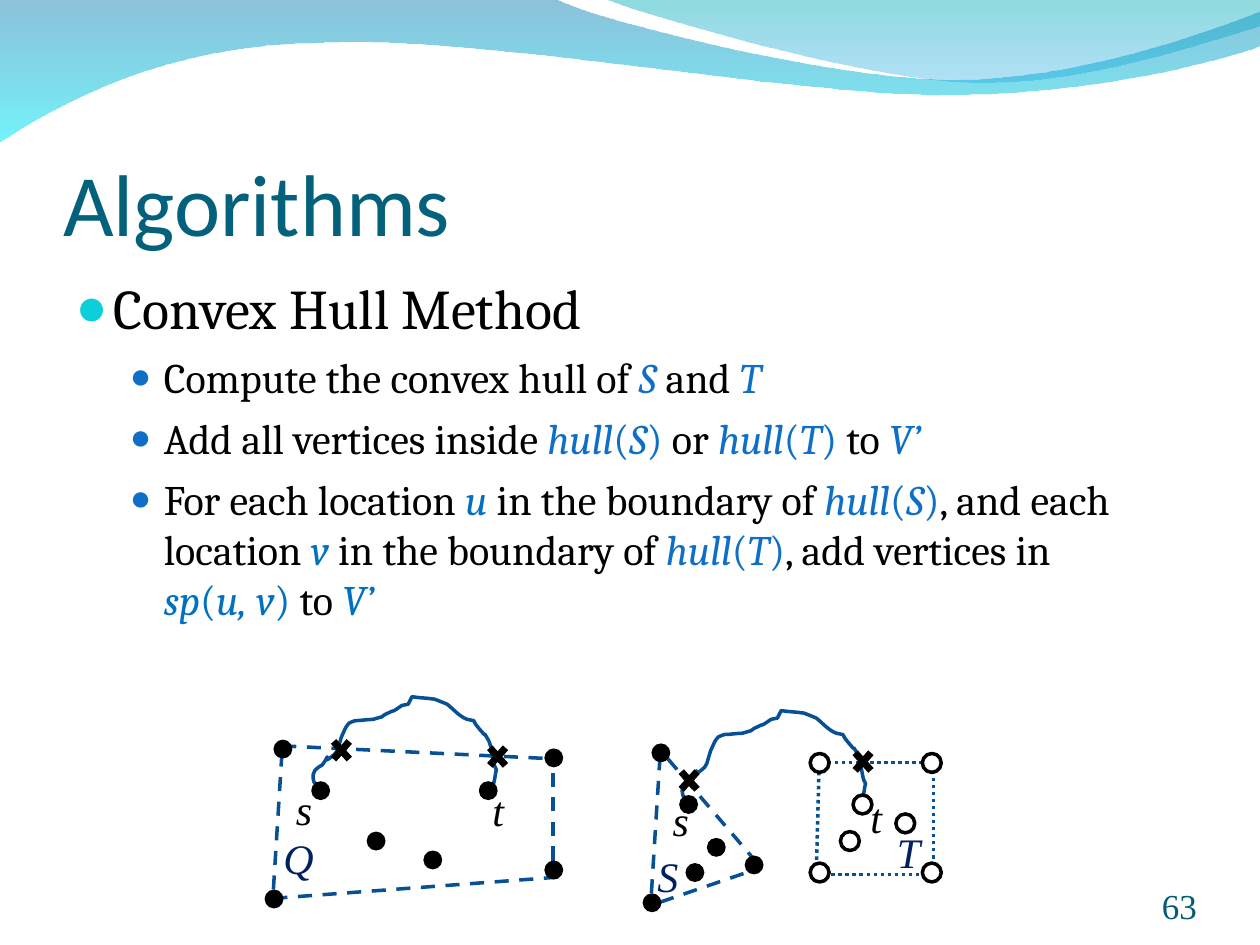
from itertools import groupby

from lxml import etree
from pptx import Presentation
from pptx.dml.color import RGBColor
from pptx.enum.dml import MSO_LINE
from pptx.enum.shapes import MSO_CONNECTOR, MSO_SHAPE
from pptx.enum.text import MSO_ANCHOR, MSO_AUTO_SIZE, PP_ALIGN
from pptx.oxml.ns import qn
from pptx.util import Inches, Pt

STRAIGHT = MSO_CONNECTOR.STRAIGHT
OVAL, CROSS = MSO_SHAPE.OVAL, MSO_SHAPE.MATH_MULTIPLY
DASH, DOTTED = MSO_LINE.DASH, MSO_LINE.ROUND_DOT
LEFT = PP_ALIGN.LEFT
RIGHT = PP_ALIGN.RIGHT
TOP, BOTTOM = MSO_ANCHOR.TOP, MSO_ANCHOR.BOTTOM
FIXED = MSO_AUTO_SIZE.NONE

BLACK = RGBColor(0x00, 0x00, 0x00)
WHITE = RGBColor(0xFF, 0xFF, 0xFF)
TITLE_TEAL = RGBColor(0x04, 0x61, 0x7B)
NUMBER_TEAL = RGBColor(0x04, 0x5C, 0x75)
CYAN = RGBColor(0x0B, 0xD0, 0xD9)
BLUE = RGBColor(0x0F, 0x6F, 0xC6)
MID_BLUE = RGBColor(0x00, 0x70, 0xC0)
EDGE_BLUE = RGBColor(0x06, 0x50, 0x93)
NAVY = RGBColor(0x00, 0x20, 0x60)
WAVE_TOP, WAVE_BOTTOM = RGBColor(0x00, 0x79, 0xAF), RGBColor(0x00, 0xEB, 0xF8)
CREST_TOP, CREST_BOTTOM = RGBColor(0x00, 0xAD, 0xB6), RGBColor(0x00, 0x9B, 0xE5)

# Outlines: a pair is a straight segment, six numbers are a Bezier segment
WAVE = [(0, -0.01), (4.4, -0.01), (4.76, 0.17, 6.64, 0.63, 7.58, 0.63),
        (8.53, 0.63, 9.58, 0.26, 10, 0.09), (10.01, 0.36),
        (9.83, 0.44, 8.7, 0.76, 7.46, 0.75), (6.22, 0.75, 3.82, 0.28, 2.57, 0.34),
        (1.29, 0.35, 0.46, 0.83, -0.01, 1.13)]
CREST = [(4.79, -0.01), (5.09, 0.11, 6.82, 0.62, 7.69, 0.65),
         (8.56, 0.69, 9.61, 0.32, 10, 0.21), (10, 0)]
SHORTEST_PATH = [
    (2.54, 6.23), (2.52, 6.22, 2.49, 6.22, 2.49, 6.2), (2.47, 6.12, 2.51, 6.1, 2.56, 6.07),
    (2.66, 5.92, 2.52, 6.1, 2.64, 6), (2.66, 5.99, 2.67, 5.97, 2.68, 5.95), (2.71, 5.85),
    (2.73, 5.81, 2.74, 5.77, 2.77, 5.74), (2.78, 5.73, 2.8, 5.73, 2.82, 5.72),
    (2.87, 5.72, 2.91, 5.71, 2.96, 5.71), (2.98, 5.7, 3.01, 5.7, 3.03, 5.69),
    (3.05, 5.68, 3.06, 5.66, 3.08, 5.66), (3.1, 5.65, 3.12, 5.64, 3.13, 5.64),
    (3.15, 5.63, 3.17, 5.61, 3.19, 5.6), (3.2, 5.59, 3.22, 5.6, 3.24, 5.59),
    (3.25, 5.57, 3.26, 5.55, 3.27, 5.53), (3.33, 5.54, 3.39, 5.54, 3.45, 5.55),
    (3.48, 5.56, 3.55, 5.59, 3.55, 5.59), (3.6, 5.63, 3.65, 5.69, 3.71, 5.71), (3.76, 5.72),
    (3.77, 5.74, 3.78, 5.76, 3.8, 5.78), (3.91, 5.91, 3.8, 5.75, 3.88, 5.88),
    (3.92, 6, 3.88, 5.86, 3.92, 6.06), (3.92, 6.07, 3.93, 6.09, 3.94, 6.11),
    (3.93, 6.14, 3.93, 6.18, 3.92, 6.21), (3.91, 6.25, 3.9, 6.27, 3.88, 6.3)]

# Each point is a list of (text, colour); coloured parts are mathematics
POINTS = [
    [("Compute the convex hull of ", BLACK), ("S", BLUE), (" and ", BLACK), ("T", BLUE)],
    [("Add all vertices inside ", BLACK), ("hull(S)", BLUE), (" or ", BLACK),
     ("hull(T)", BLUE), (" to ", BLACK), ("V’", BLUE)],
    [("For each location ", BLACK), ("u", MID_BLUE), (" in the boundary of ", BLACK),
     ("hull(S)", BLUE), (", and each location ", BLACK), ("v", MID_BLUE),
     (" in the boundary of ", BLACK), ("hull(T)", BLUE), (", add vertices in ", BLACK),
     ("sp(u, v)", MID_BLUE), (" to ", BLACK), ("V’", MID_BLUE)]]


def write(paragraph, text, *, size, font, color, italic=False):
    run = paragraph.add_run()
    run.text = text
    run.font.size, run.font.name, run.font.italic = Pt(size), font, italic
    run.font.color.rgb = color


class HullSlide:
    heading_font, body_font, label_font = "Calibri", "Cambria", "Times New Roman"
    line_width, dot_size = Pt(2), 0.15

    def __init__(self, slide):
        self.slide, self.shapes = slide, slide.shapes

    def frame(self, shape, box, insets, anchor):
        shape.left, shape.top, shape.width, shape.height = map(Inches, box)
        frame = shape.text_frame
        frame.auto_size, frame.vertical_anchor, frame.word_wrap = FIXED, anchor, True
        (frame.margin_left, frame.margin_top,
         frame.margin_right, frame.margin_bottom) = map(Inches, insets)
        return frame

    def outline(self, segments, close, dx=0, dy=0):
        points = [(Inches(x + dx), Inches(y + dy))
                  for segment in segments for x, y in zip(segment[::2], segment[1::2])]
        builder = self.shapes.build_freeform(*points[0])
        builder.add_line_segments(points[1:], close=close)
        shape = builder.convert_to_shape()
        shape.shadow.inherit = False
        # Join the three points of each Bezier segment into one curve
        steps = iter(list(shape._element.iter(qn("a:lnTo"))))
        for segment in segments[1:]:
            first = next(steps)
            if len(segment) == 6:
                first.tag = qn("a:cubicBezTo")
                for step in (next(steps), next(steps)):
                    first.append(step[0])
                    step.getparent().remove(step)
        return shape

    def wave(self, outline, colors, opacities):
        shape = self.outline(outline, True)
        shape.line.fill.background()
        shape.fill.gradient()
        shape.fill.gradient_angle = 270
        for stop, color in zip(shape.fill.gradient_stops, colors):
            stop.color.rgb = color
        for tint, opacity in zip(shape._element.iter(qn("a:srgbClr")), opacities):
            etree.SubElement(tint, qn("a:alpha"), val=str(opacity * 1000))

    def curve(self, outline, dx, dy):
        shape = self.outline(outline, False, dx, dy)
        shape.fill.background()
        shape.line.color.rgb, shape.line.width = EDGE_BLUE, self.line_width

    def edge(self, x1, y1, x2, y2, dash):
        edge = self.shapes.add_connector(STRAIGHT, *map(Inches, (x1, y1, x2, y2)))
        edge.line.color.rgb, edge.line.width = EDGE_BLUE, self.line_width
        edge.line.dash_style = dash
        etree.SubElement(edge._element.spPr, qn("a:effectLst"))

    def mark(self, kind, x, y, width, height, fill=BLACK, ring=False):
        mark = self.shapes.add_shape(kind, *map(Inches, (x, y, width, height)))
        mark.shadow.inherit = False
        mark.fill.solid()
        mark.fill.fore_color.rgb = fill
        if ring:
            mark.line.color.rgb, mark.line.width = BLACK, self.line_width
        else:
            mark.line.fill.background()

    def dot(self, x, y, hollow=False):
        self.mark(OVAL, x, y, self.dot_size, self.dot_size, WHITE if hollow else BLACK, hollow)

    def label(self, text, x, y, width, color):
        box = self.shapes.add_textbox(0, 0, 0, 0)
        frame = self.frame(box, (x, y, width, 0.5), (0.1, 0.05, 0.1, 0.05), TOP)
        frame.word_wrap = False
        write(frame.paragraphs[0], text, size=24, font=self.label_font, color=color, italic=True)

    def title(self, text):
        frame = self.frame(self.shapes.title, (0.5, 0.77, 9, 1.25), (0, 0.05, 0, 0), BOTTOM)
        frame.paragraphs[0].alignment = LEFT
        write(frame.paragraphs[0], text, size=50, font=self.heading_font, color=TITLE_TEAL)

    def bullet(self, paragraph, level, margin, hang, color, percent, before):
        properties = paragraph._p.get_or_add_pPr()
        properties.set("marL", str(Inches(margin)))
        properties.set("indent", str(-Inches(hang)))
        tint = etree.SubElement(properties, qn("a:buClr"))
        etree.SubElement(tint, qn("a:srgbClr"), val=str(color))
        etree.SubElement(properties, qn("a:buSzPct"), val=str(percent * 1000))
        etree.SubElement(properties, qn("a:buChar"), char="●")
        paragraph.level, paragraph.space_before = level, Pt(before)

    def body(self, heading, points):
        frame = self.frame(self.slide.placeholders[1], (0.5, 2.12, 8.63, 3.75),
                           (0.1, 0.05, 0.1, 0.05), TOP)
        self.bullet(frame.paragraphs[0], 0, 0.3, 0.3, CYAN, 95, 0)
        write(frame.paragraphs[0], heading, size=32, font=self.body_font, color=BLACK)
        for point in points:
            paragraph = frame.add_paragraph()
            self.bullet(paragraph, 1, 0.7, 0.27, BLUE, 85, 6)
            for text, color in point:
                # Only the letters of mathematics are italic, not the brackets
                for bracket, part in groupby(text, lambda letter: letter in "()"):
                    write(paragraph, "".join(part), size=24, font=self.body_font,
                          color=color, italic=color != BLACK and not bracket)

    def number(self, text):
        box = self.shapes.add_textbox(0, 0, 0, 0)
        frame = self.frame(box, (8.67, 6.95, 0.83, 0.4), (0, 0, 0, 0), BOTTOM)
        frame.paragraphs[0].alignment = RIGHT
        write(frame.paragraphs[0], text, size=20, font=self.label_font, color=NUMBER_TEAL)


def main():
    deck = Presentation()
    deck.slide_width, deck.slide_height = Inches(10), Inches(7.5)
    page = HullSlide(deck.slides.add_slide(deck.slide_layouts[1]))

    # Header waves and text
    page.wave(WAVE, (WAVE_TOP, WAVE_BOTTOM), (45, 55))
    page.wave(CREST, (CREST_TOP, CREST_BOTTOM), (45, 30))
    page.title("Algorithms")
    page.body("Convex Hull Method", POINTS)
    page.number("63")

    # Shortest paths from s to t
    for dx, dy in ((0, 0), (2.93, 0.11)):
        page.curve(SHORTEST_PATH, dx, dy)

    # Hull edges: Q and S dashed, T dotted
    for ends in ((2.24, 5.92, 4.34, 6.02), (4.39, 6.83, 4.39, 6.09), (2.17, 7.13, 4.45, 6.96),
                 (2.17, 7.06, 2.24, 5.94), (5.17, 7.09, 5.24, 5.98), (6.01, 6.85, 5.29, 6.01),
                 (5.24, 7.16, 5.94, 6.92)):
        page.edge(*ends, DASH)
    for ends in ((6.48, 6.88, 6.5, 6.11), (6.43, 6.94, 7.4, 6.94), (7.41, 6.87, 7.41, 6.12),
                 (6.57, 6.05, 7.31, 6.05)):
        page.edge(*ends, DOTTED)

    # Locations: Q and S filled, T hollow
    for x, y in ((2.91, 6.6), (3.36, 6.75), (4.32, 6.83), (4.32, 5.94), (2.1, 7.06),
                 (2.17, 5.87), (2.47, 6.2), (3.8, 6.2), (5.1, 7.09), (5.61, 6.65),
                 (5.44, 6.85), (5.91, 6.79), (5.17, 5.9), (5.39, 6.31)):
        page.dot(x, y)
    for x, y in ((6.43, 6.85), (7.32, 6.85), (7.32, 5.98), (6.43, 5.98), (6.67, 6.6),
                 (7.11, 6.46), (6.77, 6.31)):
        page.dot(x, y, hollow=True)

    # Names, and crosses where the paths leave the hulls
    for name, x, y, width, color in (
            ("s", 2.25, 6.17, 0.33, BLACK), ("t", 3.81, 6.18, 0.29, BLACK),
            ("s", 5.24, 6.26, 0.33, BLACK), ("t", 6.81, 6.23, 0.29, BLACK),
            ("Q", 2.15, 6.56, 0.44, NAVY), ("S", 5.12, 6.7, 0.36, NAVY),
            ("T", 7.02, 6.51, 0.38, NAVY)):
        page.label(name, x, y, width, color)
    for x, y in ((2.59, 5.82), (3.83, 5.87), (5.35, 6.06), (6.73, 5.91)):
        page.mark(CROSS, x, y, 0.24, 0.27)

    deck.save("out.pptx")


if __name__ == "__main__":
    main()
